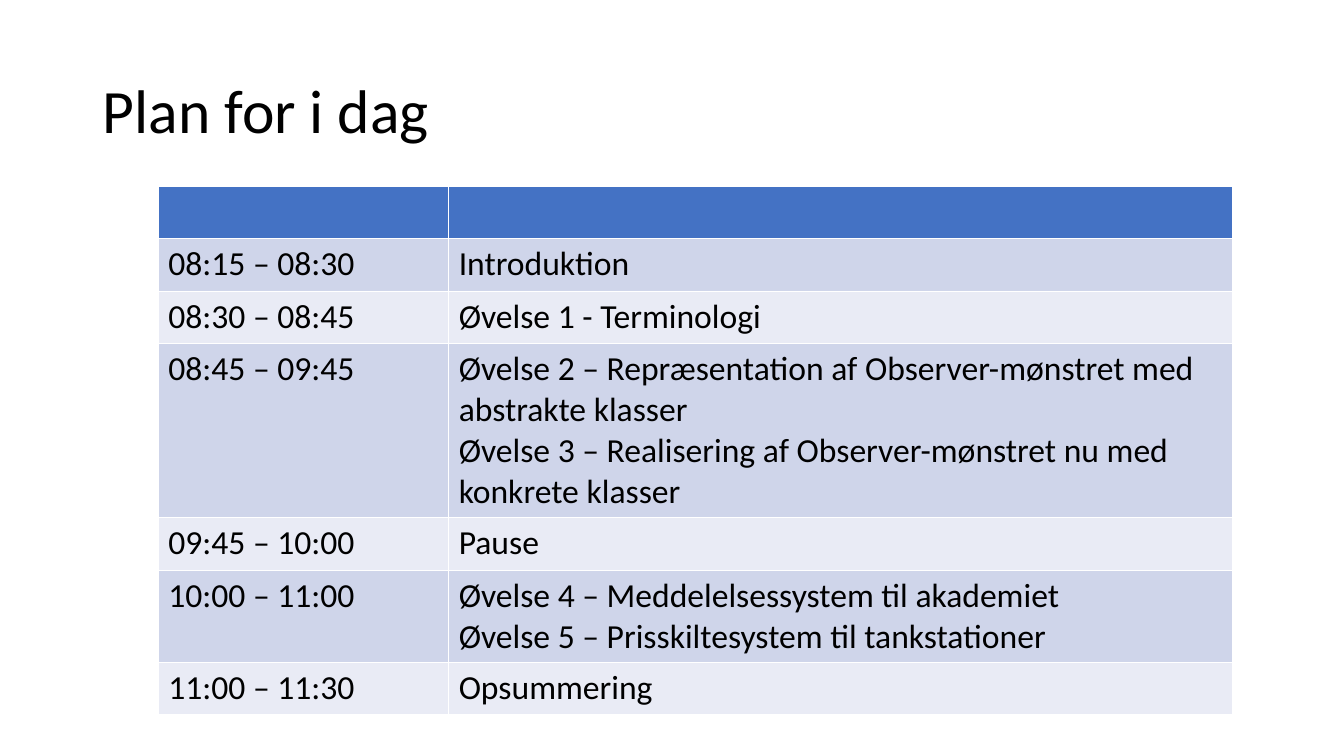
"""Build the slide with the plan for the day."""
import pptx
import pptx.dml.color
import pptx.enum.text
import pptx.util

Inches = pptx.util.Inches
PLAN = [
    ("", ""),
    ("08:15 – 08:30", "Introduktion"),
    ("08:30 – 08:45", "Øvelse 1 - Terminologi"),
    ("08:45 – 09:45",
     "Øvelse 2 – Repræsentation af Observer-mønstret med abstrakte klasser\n"
     "Øvelse 3 – Realisering af Observer-mønstret nu med konkrete klasser"),
    ("09:45 – 10:00", "Pause"),
    ("10:00 – 11:00",
     "Øvelse 4 – Meddelelsessystem til akademiet\n"
     "Øvelse 5 – Prisskiltesystem til tankstationer"),
    ("11:00 – 11:30", "Opsummering"),
]
WIDTHS = (2.88, 7.78)
HEIGHT = 0.52
HEAD = "4472C4"
BANDS = ("E9EBF5", "CFD5EA")


def paint(color, code):
    color.rgb = pptx.dml.color.RGBColor.from_string(code)


def style(frame, size):
    for para in frame.paragraphs:
        for run in para.runs:
            run.font.name = "Calibri"
            run.font.size = pptx.util.Pt(size)
            run.font.bold = False
            paint(run.font.color, "000000")


def add_title(slide, text):
    title = slide.shapes.title
    title.left, title.top = Inches(0.92), Inches(0.4)
    title.width, title.height = Inches(11.5), Inches(1.45)
    frame = title.text_frame
    frame.text = text
    frame.auto_size = pptx.enum.text.MSO_AUTO_SIZE.NONE
    frame.vertical_anchor = pptx.enum.text.MSO_ANCHOR.MIDDLE
    para = frame.paragraphs[0]
    para.alignment = pptx.enum.text.PP_ALIGN.LEFT
    para.line_spacing = 0.9
    style(frame, 44)


def add_plan(slide, plan):
    table = slide.shapes.add_table(
        len(plan), len(WIDTHS), Inches(1.57), Inches(1.85),
        Inches(sum(WIDTHS)), Inches(HEIGHT * len(plan))).table
    for column, width in zip(table.columns, WIDTHS):
        column.width = Inches(width)
    for index, texts in enumerate(plan):
        table.rows[index].height = Inches(HEIGHT)
        for column, text in enumerate(texts):
            cell = table.cell(index, column)
            cell.fill.solid()
            paint(cell.fill.fore_color, BANDS[index % 2] if index else HEAD)
            cell.text_frame.text = text
            style(cell.text_frame, 24)


def main():
    deck = pptx.Presentation()
    deck.slide_width, deck.slide_height = Inches(13.33), Inches(7.5)
    slide = deck.slides.add_slide(deck.slide_layouts[5])
    add_title(slide, "Plan for i dag")
    add_plan(slide, PLAN)
    deck.save("out.pptx")


if __name__ == "__main__":
    main()
